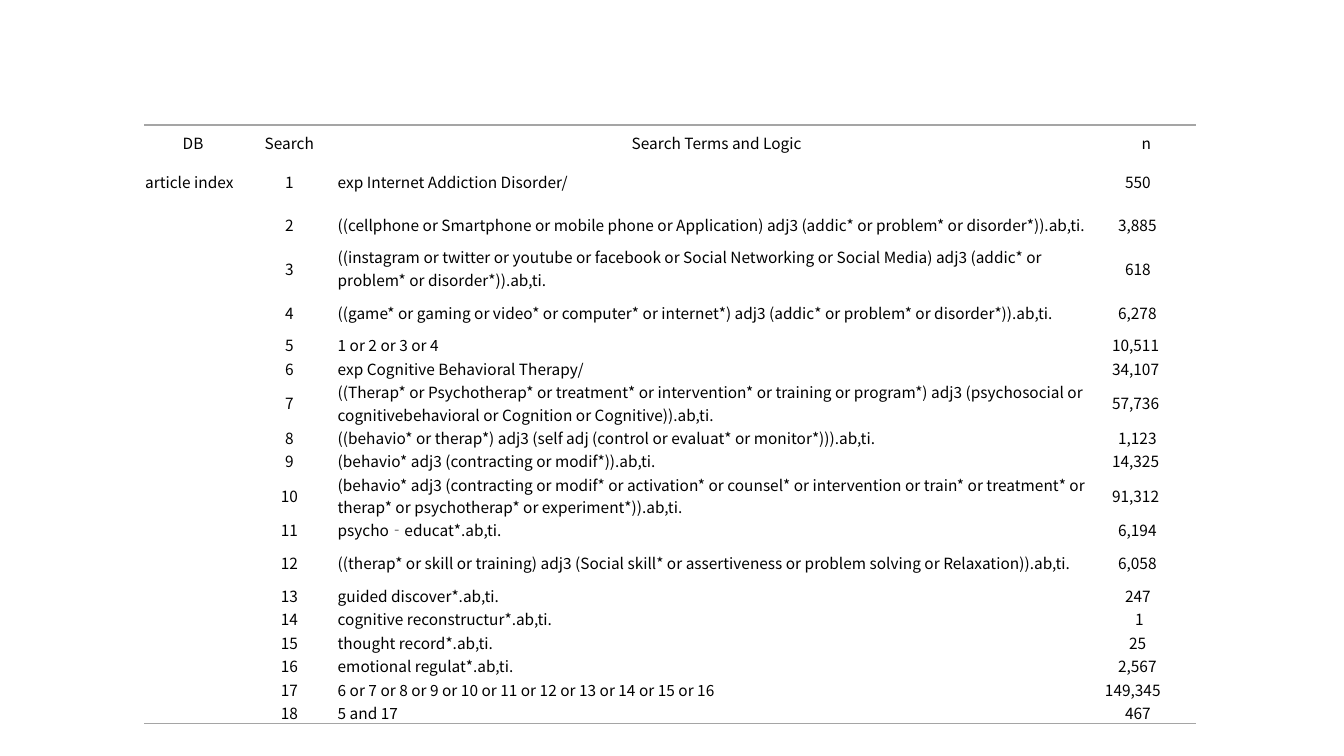
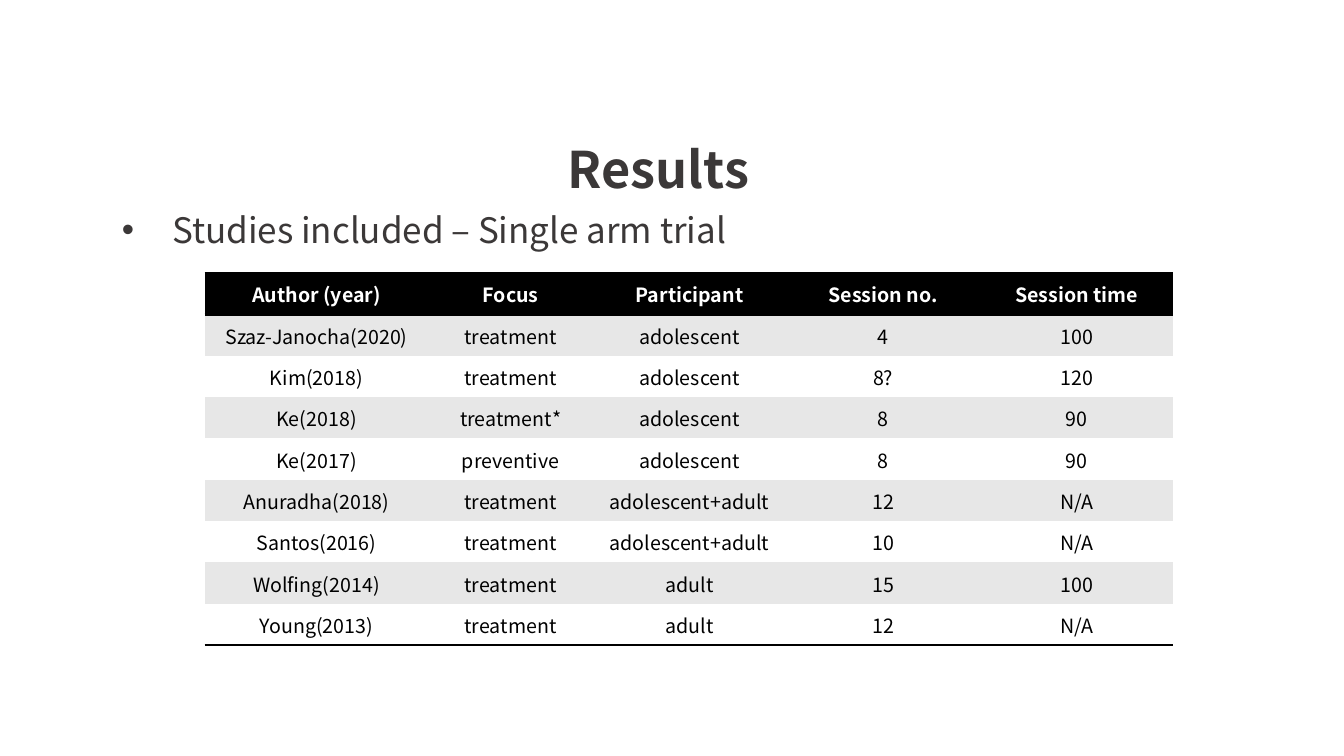
from lxml import etree
from pptx import Presentation
from pptx.dml.color import RGBColor
from pptx.enum.text import MSO_ANCHOR as ANCHOR, MSO_AUTO_SIZE as AUTO, PP_ALIGN as ALIGN
from pptx.oxml.ns import qn
from pptx.util import Inches, Pt

FONT = "Noto Sans CJK KR"
NO_STYLE = "{2D5ABB26-0587-4C30-8999-92F81FD0307C}"
COLORS = {"ink": "3B3838", "black": "000000", "white": "FFFFFF",
          "band": "E7E7E7", "rule": "A5A5A5"}


def add_text(p, text, size, color, bold=False, align=ALIGN.LEFT):
    p.alignment = align
    r = p.add_run()
    r.text = text
    r.font.name, r.font.size, r.font.bold = FONT, Pt(size), bold
    r.font.color.rgb = RGBColor.from_string(COLORS[color])
    etree.SubElement(r.font._element, qn("a:ea")).set("typeface", FONT)


def add_grid(s, left, top, widths, heights, rule, weight, ruled):
    """Add an unstyled table; ruled maps a row number to its lined sides."""
    frame = s.shapes.add_table(len(heights), len(widths), Inches(left), Inches(top),
                               Inches(sum(widths)), Inches(sum(heights)))
    table = frame.table
    table.first_row = table.horz_banding = False
    table._tbl.tblPr.find(qn("a:tableStyleId")).text = NO_STYLE
    for column, width in zip(table.columns, widths):
        column.width = Inches(width)
    for row, height in zip(table.rows, heights):
        row.height = Inches(height)
    for i, sides in ruled.items():
        for cell in table.rows[i].cells:
            for side in sides:
                ln = etree.SubElement(cell._tc.get_or_add_tcPr(), qn("a:ln" + side))
                ln.set("w", str(Pt(weight)))
                fill = etree.SubElement(ln, qn("a:solidFill"))
                etree.SubElement(fill, qn("a:srgbClr")).set("val", COLORS[rule])
    for cell in table.iter_cells():
        cell.vertical_anchor = ANCHOR.MIDDLE
        cell.margin_left = cell.margin_right = cell.margin_top = Inches(0.01)
        cell.margin_bottom = 0
    return table


prs = Presentation()
prs.slide_width, prs.slide_height = Inches(13.33), Inches(7.5)

# Slide 1: search strategy
SEARCHES = [
    ("exp Internet Addiction Disorder/", "550"),
    ("((cellphone or Smartphone or mobile phone or Application) adj3 "
     "(addic* or problem* or disorder*)).ab,ti.", "3,885"),
    ("((instagram or twitter or youtube or facebook or Social Networking or Social Media) adj3 "
     "(addic* or problem* or disorder*)).ab,ti.", "618"),
    ("((game* or gaming or video* or computer* or internet*) adj3 "
     "(addic* or problem* or disorder*)).ab,ti.", "6,278"),
    ("1 or 2 or 3 or 4", "10,511"),
    ("exp Cognitive Behavioral Therapy/", "34,107"),
    ("((Therap* or Psychotherap* or treatment* or intervention* or training or program*) adj3 "
     "(psychosocial or cognitivebehavioral or Cognition or Cognitive)).ab,ti.", "57,736"),
    ("((behavio* or therap*) adj3 (self adj (control or evaluat* or monitor*))).ab,ti.", "1,123"),
    ("(behavio* adj3 (contracting or modif*)).ab,ti.", "14,325"),
    ("(behavio* adj3 (contracting or modif* or activation* or counsel* or intervention or train* "
     "or treatment* or therap* or psychotherap* or experiment*)).ab,ti.", "91,312"),
    ("psycho‐educat*.ab,ti.", "6,194"),
    ("((therap* or skill or training) adj3 (Social skill* or assertiveness or problem solving "
     "or Relaxation)).ab,ti.", "6,058"),
    ("guided discover*.ab,ti.", "247"),
    ("cognitive reconstructur*.ab,ti.", "1"),
    ("thought record*.ab,ti.", "25"),
    ("emotional regulat*.ab,ti.", "2,567"),
    ("6 or 7 or 8 or 9 or 10 or 11 or 12 or 13 or 14 or 15 or 16", "149,345"),
    ("5 and 17", "467"),
]
COUNT_INDENT = {1: 0.37, 2: 0.31, 3: 0.27, 5: 0.2, 6: 0.14, 7: 0.07}  # by text length
TALL_ROWS = (1, 2, 3, 4, 7, 10, 12)

s = prs.slides.add_slide(prs.slide_layouts[6])
heights = [0.35] + [0.42 if n in TALL_ROWS else 0.21 for n in range(1, len(SEARCHES) + 1)]
table = add_grid(s, 1.43, 1.24, [0.97, 0.94, 7.54, 0.98], heights, "rule", 1,
                 {0: "T", len(SEARCHES): "B"})
rows = [("DB", "Search", "Search Terms and Logic", "n")]
for n, (terms, count) in enumerate(SEARCHES, 1):
    rows.append(("article index" if n == 1 else "", str(n), terms, count))
for i, row in enumerate(rows):
    for j, text in enumerate(row):
        p = table.cell(i, j).text_frame.paragraphs[0]
        if not text:  # keeps the empty cell from stretching its row
            p._p.get_or_add_endParaRPr().set("sz", "1100")
            continue
        add_text(p, text, 11, "black", align=ALIGN.CENTER if i == 0 or j == 1 else ALIGN.LEFT)
        if i and j == 3:
            pPr = p._p.get_or_add_pPr()
            pPr.set("marL", str(Inches(COUNT_INDENT[len(text)])))
            pPr.set("indent", "0")

# Slide 2: title
s = prs.slides.add_slide(prs.slide_layouts[5])
title = s.shapes.title
title.left, title.top, title.width, title.height = map(Inches, (1.75, 1.32, 9.56, 0.71))
title.text_frame.vertical_anchor = ANCHOR.MIDDLE
title.text_frame.auto_size = AUTO.NONE
add_text(title.text_frame.paragraphs[0], "Results", 36, "ink", True, ALIGN.CENTER)

# Bulleted subtitle
sp = s.shapes.add_textbox(Inches(1.11), Inches(2.02), Inches(10.53), Inches(0.52))
tf = sp.text_frame
tf.word_wrap = True
p = tf.paragraphs[0]
pPr = p._p.get_or_add_pPr()
pPr.set("marL", str(Inches(0.5)))
pPr.set("indent", str(Inches(-0.5)))
etree.SubElement(pPr, qn("a:buFont")).set("typeface", "Arial")
etree.SubElement(pPr, qn("a:buChar")).set("char", "•")
add_text(p, "Studies included – Single arm trial", 25, "ink")

# Included studies
STUDIES = [
    ("Author (year)", "Focus", "Participant", "Session no.", "Session time"),
    ("Szaz-Janocha(2020)", "treatment", "adolescent", "4", "100"),
    ("Kim(2018)", "treatment", "adolescent", "8?", "120"),
    ("Ke(2018)", "treatment*", "adolescent", "8", "90"),
    ("Ke(2017)", "preventive", "adolescent", "8", "90"),
    ("Anuradha(2018)", "treatment", "adolescent+adult", "12", "N/A"),
    ("Santos(2016)", "treatment", "adolescent+adult", "10", "N/A"),
    ("Wolfing(2014)", "treatment", "adult", "15", "100"),
    ("Young(2013)", "treatment", "adult", "12", "N/A"),
]
table = add_grid(s, 2.03, 2.71, [2.22, 1.63, 1.92, 1.92, 1.92], [0.41] * len(STUDIES),
                 "black", 2, {0: "TB", len(STUDIES) - 1: "B"})
for i, row in enumerate(STUDIES):
    fill = "black" if i == 0 else "band" if i % 2 else "white"
    for j, text in enumerate(row):
        cell = table.cell(i, j)
        cell.fill.solid()
        cell.fill.fore_color.rgb = RGBColor.from_string(COLORS[fill])
        add_text(cell.text_frame.paragraphs[0], text, 14, "black" if i else "white",
                 i == 0, ALIGN.CENTER)

prs.save("out.pptx")
